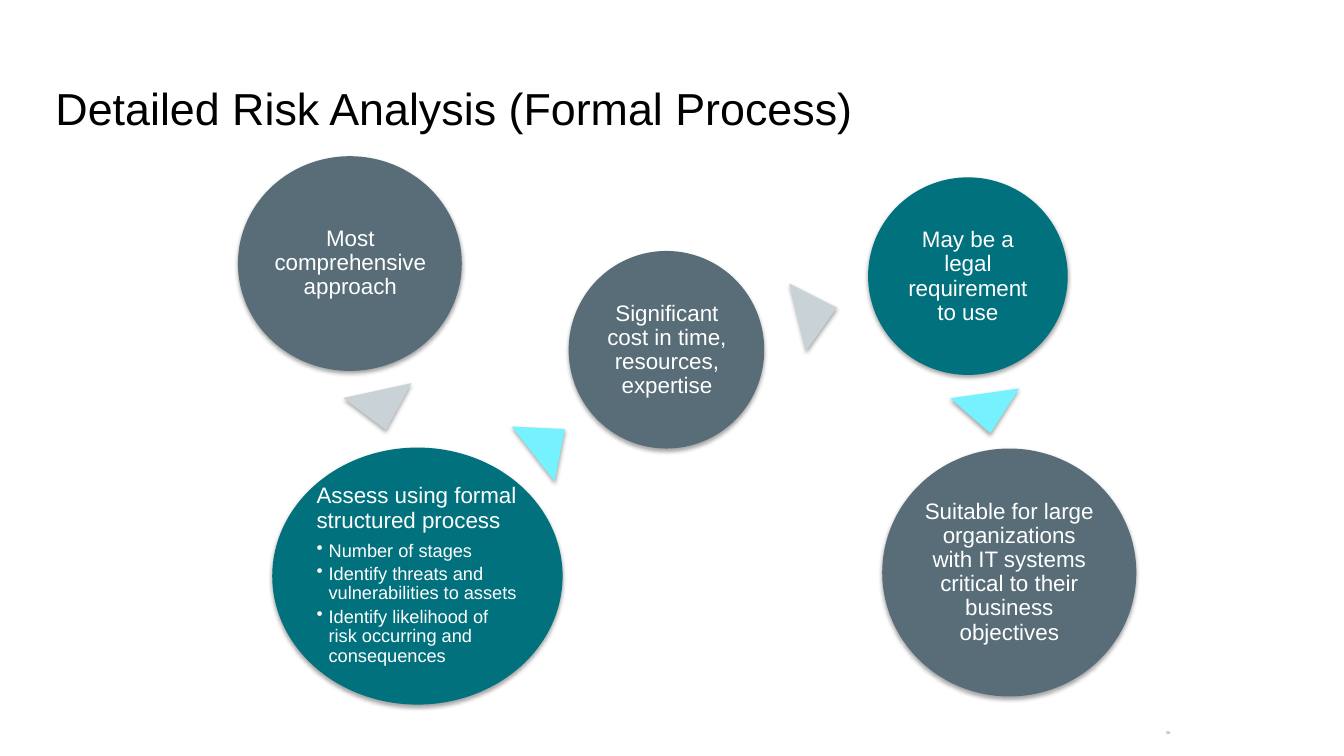
from lxml import etree
from pptx import Presentation
from pptx import util as u
from pptx.dml.color import RGBColor
from pptx.enum import shapes, text
from pptx.oxml import ns

PX = 9144
SLATE, TEAL, SILVER, CYAN, WHITE = "586D77", "00717D", "C9D3D7", "76F2FF", "FFFFFF"
CENTER, LEFT, RIGHT = text.PP_ALIGN.CENTER, text.PP_ALIGN.LEFT, text.PP_ALIGN.RIGHT

STEPS = [
    (SLATE, (236, 155, 222, 213), (269, 186, 157, 151), "Most comprehensive approach", []),
    (TEAL, (270, 444, 288, 255), (312, 481, 204, 180), "Assess using formal structured process", [
        "Number of stages",
        "Identify threats and vulnerabilities to assets",
        "Identify likelihood of risk occurring and consequences",
    ]),
    (SLATE, (564, 249, 194, 196), (593, 278, 137, 139), "Significant cost in time, resources, expertise", []),
    (TEAL, (861, 176, 198, 196), (890, 205, 140, 139), "May be a legal requirement to use", []),
    (SLATE, (875, 445, 252, 246), (912, 481, 178, 174),
     "Suitable for large organizations with IT systems critical to their business objectives", []),
]
POINTERS = [
    (SILVER, 344, 387, 167.8),
    (CYAN, 510, 418, 51.9),
    (SILVER, 776, 290, 76.1),
    (CYAN, 945, 390, 171.9),
]


def color(value):
    return RGBColor.from_string(value)


def px(*lengths):
    return [u.Emu(length * PX) for length in lengths]


def apply(target, values):
    for name, value in values.items():
        setattr(target, name, value)


def add_shadow(shape):
    effects = etree.SubElement(shape.element.spPr, ns.qn("a:effectLst"))
    shadow = etree.SubElement(effects, ns.qn("a:outerShdw"), blurRad="39000", dist="23000",
                              dir="5400000", rotWithShape="0")
    black = etree.SubElement(shadow, ns.qn("a:srgbClr"), val="000000")
    etree.SubElement(black, ns.qn("a:alpha"), val="35000")


def add_filled(slide, kind, box, fill, rotation=0):
    shape = slide.shapes.add_shape(kind, *px(*box))
    shape.fill.solid()
    shape.fill.fore_color.rgb = color(fill)
    shape.line.fill.background()
    shape.rotation = rotation
    add_shadow(shape)


def add_text_box(slide, box, inset):
    frame = slide.shapes.add_textbox(*px(*box)).text_frame
    margins = dict.fromkeys(("margin_left", "margin_right", "margin_top", "margin_bottom"), px(inset)[0])
    apply(frame, {"word_wrap": True, "vertical_anchor": text.MSO_ANCHOR.MIDDLE, **margins})
    return frame


def write(paragraph, words, size, fill, **layout):
    paragraph.text = words
    apply(paragraph, layout)
    apply(paragraph.font, {"size": u.Pt(size), "name": "Arial"})
    paragraph.font.color.rgb = color(fill)


def add_bullet(frame, words):
    paragraph = frame.add_paragraph()
    properties = paragraph._p.get_or_add_pPr()
    properties.set("marL", str(12 * PX))
    properties.set("indent", str(-12 * PX))
    etree.SubElement(properties, ns.qn("a:buChar"), char="•")
    write(paragraph, words, 13, WHITE, level=1, line_spacing=0.9, space_after=u.Pt(2.5))


def add_step(slide, fill, circle, box, heading, bullets):
    add_filled(slide, shapes.MSO_SHAPE.OVAL, circle, fill)
    frame = add_text_box(slide, box, 2)
    write(frame.paragraphs[0], heading, 16, WHITE, line_spacing=0.9,
          alignment=LEFT if bullets else CENTER, space_after=u.Pt(6 if bullets else 0))
    for words in bullets:
        add_bullet(frame, words)


def add_title(slide, words):
    title = slide.shapes.title
    apply(title, dict(zip(("left", "top", "width", "height"), px(45, 65, 1242, 84))))
    title.text_frame.vertical_anchor = text.MSO_ANCHOR.MIDDLE
    write(title.text_frame.paragraphs[0], words, 32, "000000", alignment=LEFT)


def main():
    presentation = Presentation()
    apply(presentation, dict(zip(("slide_width", "slide_height"), px(1333, 750))))
    slide = presentation.slides.add_slide(presentation.slide_layouts[5])
    add_title(slide, "Detailed Risk Analysis (Formal Process)")
    number = add_text_box(slide, (1093, 720, 68, 15), 0)
    write(number.paragraphs[0], "36", 3, "8C8C8C", alignment=RIGHT, line_spacing=0.8)
    for step in STEPS:
        add_step(slide, *step)
    for fill, left, top, rotation in POINTERS:
        add_filled(slide, shapes.MSO_SHAPE.ISOSCELES_TRIANGLE, (left, top, 69, 40), fill, rotation)
    presentation.save("out.pptx")


if __name__ == "__main__":
    main()
